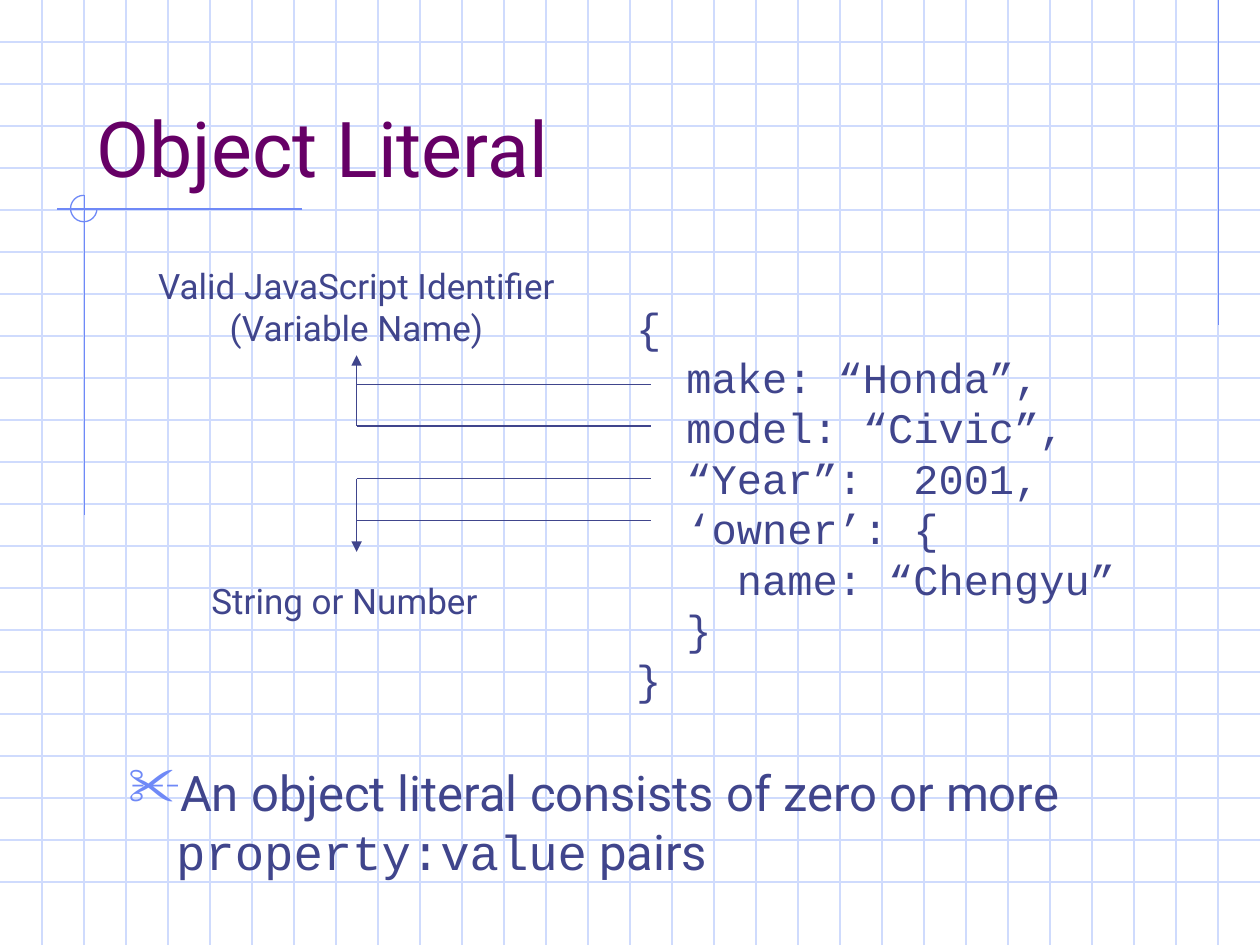
from dataclasses import dataclass

from lxml import etree
from pptx import Presentation
from pptx import util as u
from pptx.dml.color import RGBColor
from pptx.enum import shapes, text
from pptx.oxml import ns


@dataclass(frozen=True)
class Theme:
    grid: str = "CFDBFD"
    accent: str = "6F89F7"
    heading: str = "660066"
    ink: str = "40458C"
    sans: str = "Roboto"
    mono: str = "Courier New"
    title_size: int = 44
    body_size: int = 28
    code_size: int = 24
    label_size: int = 20
    rule: float = 0.75


class SlideBuilder:
    def __init__(self, slide, theme):
        self.s = slide
        self.theme = theme

    def style_line(self, sp, color):
        sp.line.color.rgb = RGBColor.from_string(color)
        sp.line.width = u.Pt(self.theme.rule)

    def line(self, x1, y1, x2, y2, color, arrow=False):
        sp = self.s.shapes.add_connector(
            shapes.MSO_CONNECTOR.STRAIGHT, *map(u.Inches, (x1, y1, x2, y2)))
        self.style_line(sp, color)
        if arrow:
            etree.SubElement(sp.line._get_or_add_ln(), ns.qn("a:tailEnd"), type="triangle")
        etree.SubElement(sp._element.spPr, ns.qn("a:effectLst"))
        return sp

    def arc(self, x, y, size, start, end, color):
        """Draw an open arc clockwise between two angles in degrees."""
        sp = self.s.shapes.add_shape(
            shapes.MSO_SHAPE.ARC, *map(u.Inches, (x, y, size, size)))
        # Angles count 60000ths of a degree; adjustments are scaled by 100000.
        for i, angle in enumerate((start, end)):
            sp.adjustments[i] = angle * 0.6
        sp.fill.background()
        sp.shadow.inherit = False
        self.style_line(sp, color)

    def text(self, box, paragraphs, size, color, font, align=None, **frame):
        """Each paragraph is a list of (wording, font) runs, or one string in the given font."""
        sp = self.s.shapes.add_textbox(*map(u.Inches, box))
        tf = sp.text_frame
        for name, value in frame.items():
            setattr(tf, name, value)
        for i, runs in enumerate(paragraphs):
            p = tf.paragraphs[0] if i == 0 else tf.add_paragraph()
            if align is not None:
                p.alignment = align
            for wording, face in [(runs, font)] if isinstance(runs, str) else runs:
                r = p.add_run()
                r.text = wording
                r.font.color.rgb = RGBColor.from_string(color)
                for name, value in {"name": face, "size": u.Pt(size)}.items():
                    setattr(r.font, name, value)
        return sp

    def bullet(self, p, char, color, percent, indent):
        pPr = p._p.get_or_add_pPr()
        pPr.set("marL", str(u.Inches(indent)))
        pPr.set("indent", str(-u.Inches(indent)))
        bu_color = etree.SubElement(pPr, ns.qn("a:buClr"))
        etree.SubElement(bu_color, ns.qn("a:srgbClr"), val=color)
        etree.SubElement(pPr, ns.qn("a:buSzPct"), val=str(percent * 1000))
        etree.SubElement(pPr, ns.qn("a:buChar"), char=char)


def draw_background(b, width, height):
    t = b.theme
    for i in range(1, height * 3 // 1 + 1):
        y = i / 3
        if y < 7.5:
            b.line(0, y, width, y, t.grid)
    for i in range(1, width * 3):
        b.line(i / 3, 0, i / 3, 7.5, t.grid)
    b.line(9.67, 0, 9.67, 2.58, t.accent)
    b.line(2.4, 1.66, 0.45, 1.66, t.accent)
    b.line(0.67, 1.55, 0.67, 4.09, t.accent)
    b.arc(0.56, 1.55, 0.21, 0, 270, t.accent)


def draw_content(b):
    t = b.theme
    b.text((0.67, 0.33, 8.5, 1.25), ["Object Literal"], t.title_size, t.heading, t.sans,
           word_wrap=True, vertical_anchor=text.MSO_ANCHOR.BOTTOM)

    body = b.text((0.92, 6, 8.5, 1.25),
                  [[("An object literal consists of zero or more ", t.sans),
                    ("property:value", t.mono), (" pairs", t.sans)]],
                  t.body_size, t.ink, t.sans, word_wrap=True)
    b.bullet(body.text_frame.paragraphs[0], "✂", t.accent, 110, 0.38)

    fit = {"word_wrap": False, "auto_size": text.MSO_AUTO_SIZE.SHAPE_TO_FIT_TEXT}
    code = ["{", "  make: “Honda”,", "  model: “Civic”,", "  “Year”:  2001,",
            "  ‘owner’: {", "    name: “Chengyu”", "  }", "}"]
    b.text((4.95, 2.34, 4, 3.3), code, t.code_size, t.ink, t.mono, **fit)
    identifier = b.text((1.1, 2.05, 3.46, 0.77),
                        ["Valid JavaScript Identifier", "(Variable Name)"],
                        t.label_size, t.ink, t.sans, text.PP_ALIGN.CENTER, **fit)
    b.text((1.58, 4.55, 2.5, 0.44), ["String or Number"],
           t.label_size, t.ink, t.sans, **fit)

    stem_x, code_x = 2.83, 5.17
    for y in (3.05, 3.38, 3.8, 4.13):
        b.line(stem_x, y, code_x, y, t.ink)
    b.line(stem_x, 3.38, stem_x, 2.82, t.ink, arrow=True).end_connect(identifier, 2)
    b.line(stem_x, 3.8, stem_x, 4.38, t.ink, arrow=True)


def main():
    width, height = 10, 7.5
    prs = Presentation()
    prs.slide_width, prs.slide_height = u.Inches(width), u.Inches(height)
    b = SlideBuilder(prs.slides.add_slide(prs.slide_layouts[6]), Theme())
    draw_background(b, width, int(height))
    draw_content(b)
    prs.save("out.pptx")


if __name__ == "__main__":
    main()
